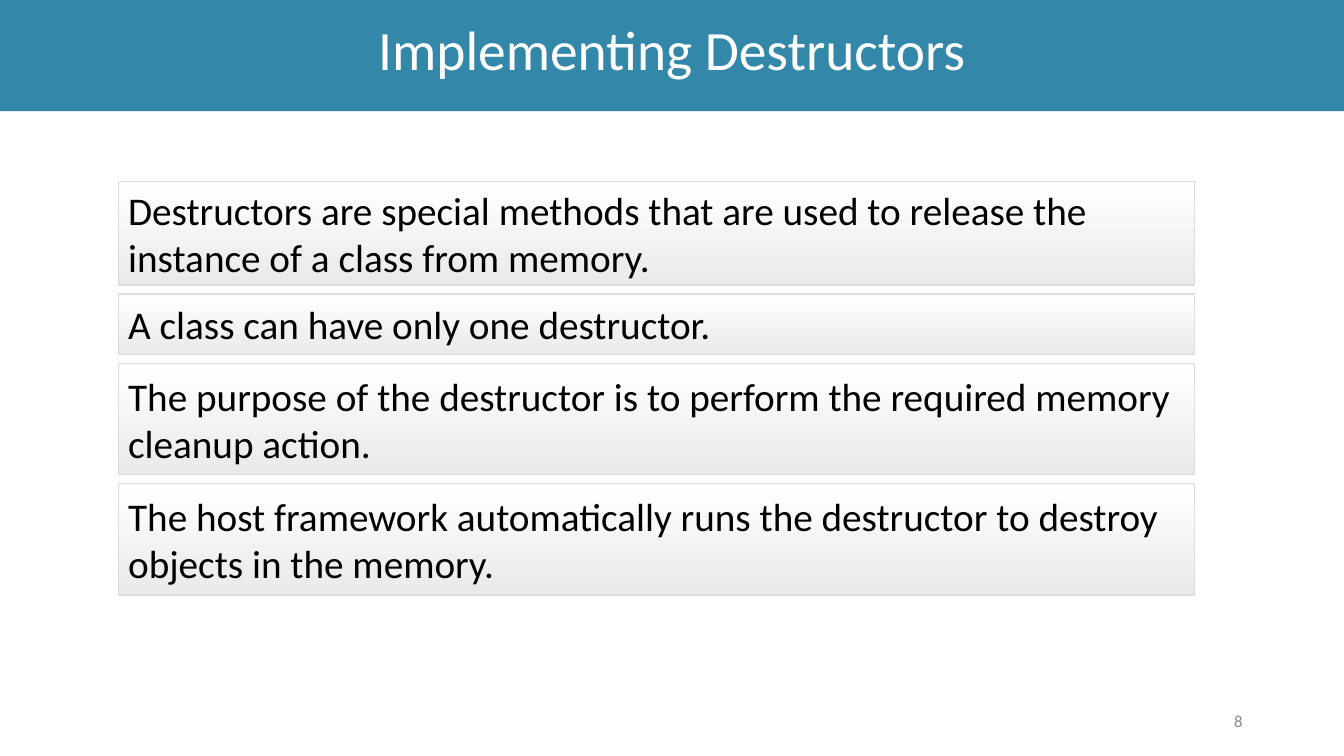
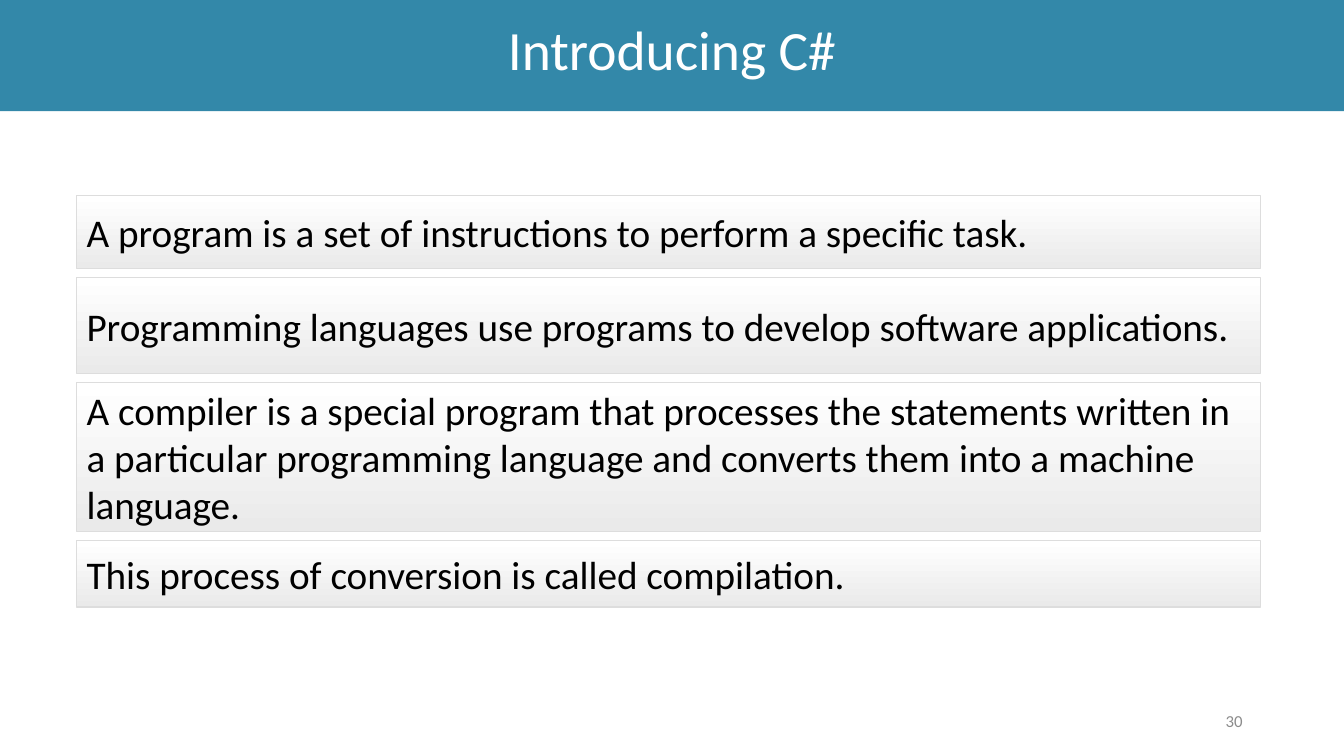
from pptx import Presentation
from pptx.dml.color import RGBColor
from pptx.enum.shapes import MSO_SHAPE
from pptx.enum.text import MSO_ANCHOR, MSO_AUTO_SIZE, PP_ALIGN
from pptx.util import Inches, Pt

WIDE, HIGH = Inches(13.33), Inches(7.5)
FONT = "Calibri"
BAND, WHITE, BLACK = "3388A9", "FFFFFF", "000000"
SHADE, EDGE, GREY = "EAEAEA", "DDDDDD", "8C8C8C"
BAND_H, GAP = 14.7, 1.2

DECK = [
    ("Implementing Destructors", "8", (8.8, 24, 80.1), [
        (13.7, "Destructors are special methods that are used to release "
               "the instance of a class from memory."),
        (8, "A class can have only one destructor."),
        (14.7, "The purpose of the destructor is to perform the required "
               "memory cleanup action."),
        (14.7, "The host framework automatically runs the destructor to "
               "destroy objects in the memory."),
    ]),
    ("Introducing C#", "30", (5.7, 25.9, 88.1), [
        (9.6, "A program is a set of instructions to perform a specific task."),
        (12.7, "Programming languages use programs to develop software "
               "applications."),
        (19.7, "A compiler is a special program that processes the "
               "statements written in a particular programming language "
               "and converts them into a machine language."),
        (8.8, "This process of conversion is called compilation."),
    ]),
]


def color(code):
    """Turn a hex string into a colour."""
    return RGBColor.from_string(code)


def frame(left, top, width, height):
    """Turn percentages of the slide into a box in slide units."""
    shares = ((left, WIDE), (top, HIGH), (width, WIDE), (height, HIGH))
    return [round(share * full / 100) for share, full in shares]


def write(shape, text, size, ink, align):
    """Set one styled run, centred vertically in the shape."""
    body = shape.text_frame
    body.word_wrap = True
    body.auto_size = MSO_AUTO_SIZE.NONE
    body.vertical_anchor = MSO_ANCHOR.MIDDLE
    para = body.paragraphs[0]
    para.alignment = align
    run = para.add_run()
    run.text = text
    run.font.name, run.font.size = FONT, Pt(size)
    run.font.color.rgb = color(ink)


def add_title(slide, text):
    """Turn the title placeholder into the top band."""
    title = slide.shapes.title
    title.left, title.top, title.width, title.height = frame(0, 0, 100, BAND_H)
    title.fill.solid()
    title.fill.fore_color.rgb = color(BAND)
    title.text_frame.margin_bottom = Inches(0.19)
    write(title, text, 39.6, WHITE, PP_ALIGN.CENTER)


def add_number(slide, text):
    """Put the page number at the lower right."""
    box = slide.shapes.add_textbox(*frame(70.7, 92.7, 22.5, 5.3))
    write(box, text, 12, GREY, PP_ALIGN.RIGHT)


def add_card(slide, box, text):
    """Draw one shaded card with its statement."""
    card = slide.shapes.add_shape(MSO_SHAPE.RECTANGLE, *frame(*box))
    card.shadow.inherit = False
    card.fill.gradient()
    card.fill.gradient_angle = 270
    for stop, code in zip(card.fill.gradient_stops, (WHITE, SHADE)):
        stop.color.rgb = color(code)
    card.line.color.rgb = color(EDGE)
    card.line.width = Pt(1)
    write(card, text, 28, BLACK, PP_ALIGN.LEFT)


def add_stack(slide, place, cards):
    """Stack cards downwards with equal gaps."""
    left, top, width = place
    for height, text in cards:
        add_card(slide, (left, top, width, height), text)
        top += height + GAP


def main():
    """Build and save the deck."""
    deck = Presentation()
    deck.slide_width, deck.slide_height = WIDE, HIGH
    for title, number, place, cards in DECK:
        slide = deck.slides.add_slide(deck.slide_layouts[5])
        add_title(slide, title)
        add_number(slide, number)
        add_stack(slide, place, cards)
    deck.save("out.pptx")


if __name__ == "__main__":
    main()
